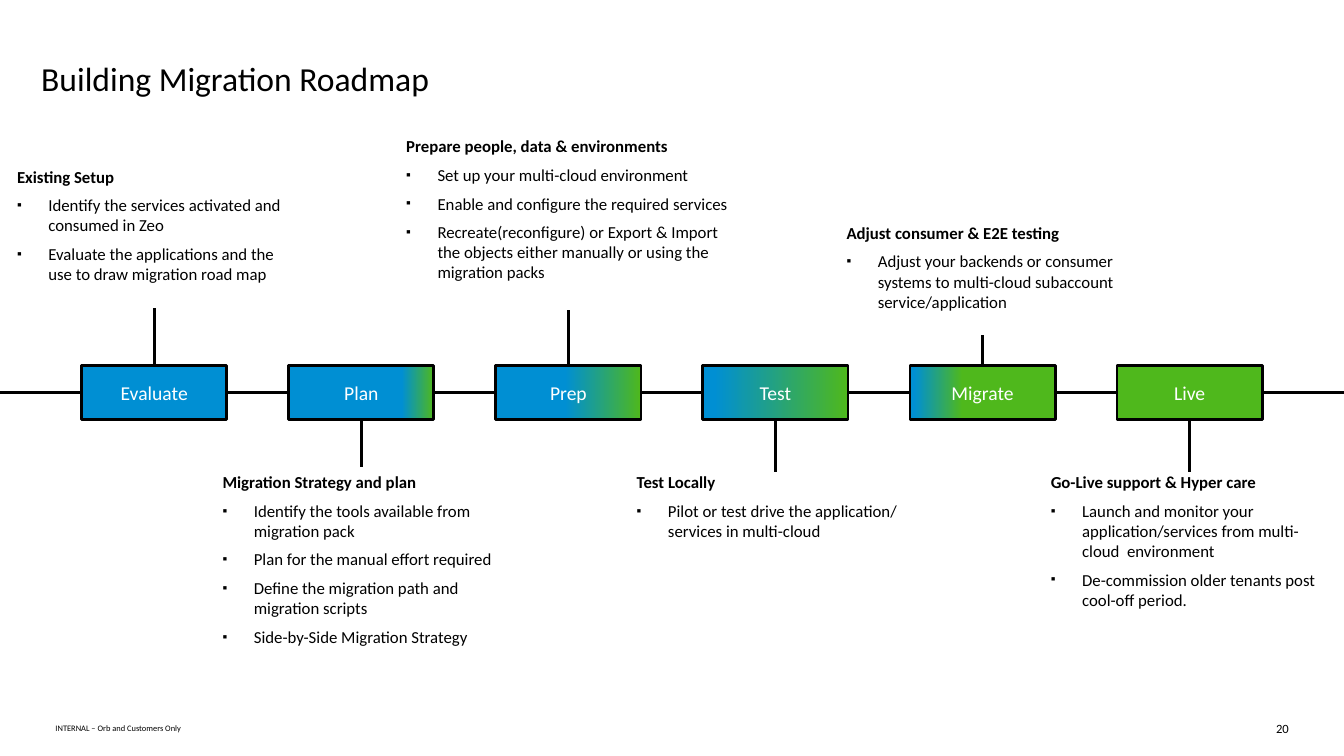
"""Build the migration roadmap slide: six stages on a rail with notes above and below."""
import pptx
import pptx.dml.color
import pptx.enum.shapes
import pptx.enum.text
import pptx.oxml.ns
import pptx.util
from lxml import etree

Cm = pptx.util.Cm
Pt = pptx.util.Pt
RGBColor = pptx.dml.color.RGBColor
ALIGN = pptx.enum.text.PP_ALIGN
ANCHOR = pptx.enum.text.MSO_ANCHOR

BLACK = RGBColor(0, 0, 0)
WHITE = RGBColor(255, 255, 255)
BLUE = RGBColor(0x00, 0x8F, 0xD3)
GREEN = RGBColor(0x4F, 0xB8, 0x1C)
FONT = "Calibri"

TITLE = "Building Migration Roadmap"
FOOTER = "INTERNAL – Orb and Customers Only"
PAGE_NUMBER = "20"

# name, blue stop, green stop, stem end, note frame, note heading, note bullets
STAGES = [
    ("Evaluate", BLUE, 7.77, (0.43, 4.19, 6.91, 3.58), "Existing Setup",
     ["Identify the services activated and consumed in Zeo",
      "Evaluate the applications and the use to draw migration road map"]),
    ("Plan", (0.78, 1), 11.76, (5.61, 11.89, 7.01, 5.13), "Migration Strategy and plan",
     ["Identify the tools available from migration pack",
      "Plan for the manual effort required",
      "Define the migration path and migration scripts",
      "Side-by-Side Migration Strategy"]),
    ("Prep", (0.48, 1), 7.8, (10.24, 3.43, 8.18, 4.37), "Prepare people, data & environments",
     ["Set up your multi-cloud environment",
      "Enable and configure the required services",
      "Recreate(reconfigure) or Export & Import the objects either manually "
      "or using the migration packs"]),
    ("Test", (0.08, 1), 11.89, (16.05, 11.89, 7.01, 2.31), "Test Locally",
     ["Pilot or test drive the application/ services in multi-cloud"]),
    ("Migrate", (0.03, 0.36), 8.43, (21.34, 5.61, 6.88, 2.82), "Adjust consumer & E2E testing",
     ["Adjust your backends or consumer systems to multi-cloud subaccount service/application"]),
    ("Live", GREEN, 11.89, (26.49, 11.89, 7.01, 3.58), "Go-Live support & Hyper care",
     ["Launch and monitor your application/services from multi-cloud  environment",
      "De-commission older tenants post cool-off period."]),
]

SLIDE_WIDTH, SLIDE_HEIGHT = 33.88, 19.05
STAGE_LEFT, STAGE_TOP, STAGE_PITCH = 2.06, 9.22, 5.22
STAGE_WIDTH, STAGE_HEIGHT = 3.66, 1.35
RAIL = 9.9
BULLET_INDENT = 0.79


def style(para, size, color=BLACK, bold=False):
    for span in para.runs:
        span.font.name = FONT
        span.font.size = Pt(size)
        span.font.bold = bold
        span.font.color.rgb = color


def add_text(page, frame, lines, size, wrap=True):
    box = page.shapes.add_textbox(*map(Cm, frame))
    text = box.text_frame
    text.margin_left = text.margin_top = text.margin_right = text.margin_bottom = 0
    text.word_wrap = wrap
    text.text = "\n".join(lines)
    for para in text.paragraphs:
        style(para, size)
    return text


def add_bullet(para):
    properties = para._p.get_or_add_pPr()
    properties.set("marL", str(Cm(BULLET_INDENT)))
    properties.set("indent", str(-Cm(BULLET_INDENT)))
    qualified = pptx.oxml.ns.qn
    color = etree.SubElement(properties, qualified("a:buClr"))
    etree.SubElement(color, qualified("a:srgbClr"), val=str(BLACK))
    etree.SubElement(properties, qualified("a:buSzPct"), val="80000")
    etree.SubElement(properties, qualified("a:buFont"), typeface="Arial")
    etree.SubElement(properties, qualified("a:buChar"), char="▪")


def add_note(page, frame, heading, bullets):
    text = add_text(page, frame, [heading, *bullets], 12)
    style(text.paragraphs[0], 12, bold=True)
    for para in text.paragraphs[1:]:
        add_bullet(para)
        para.space_before = Pt(6)


def add_line(page, start, end):
    line = page.shapes.add_connector(
        pptx.enum.shapes.MSO_CONNECTOR.STRAIGHT, *map(Cm, (*start, *end)))
    line.line.color.rgb = BLACK
    line.line.width = Pt(2)
    etree.SubElement(line._element.spPr, pptx.oxml.ns.qn("a:effectLst"))


def add_stage(page, left, name, paint):
    box = page.shapes.add_shape(
        pptx.enum.shapes.MSO_SHAPE.RECTANGLE,
        *map(Cm, (left, STAGE_TOP, STAGE_WIDTH, STAGE_HEIGHT)))
    box.shadow.inherit = False
    box.line.color.rgb = BLACK
    box.line.width = Pt(2)
    if isinstance(paint, RGBColor):
        box.fill.solid()
        box.fill.fore_color.rgb = paint
    else:
        box.fill.gradient()
        box.fill.gradient_angle = 0
        for stop, position, color in zip(box.fill.gradient_stops, paint, (BLUE, GREEN)):
            stop.position = position
            stop.color.rgb = color
    box.text_frame.text = name
    box.text_frame.vertical_anchor = ANCHOR.MIDDLE
    para = box.text_frame.paragraphs[0]
    para.alignment = ALIGN.CENTER
    style(para, 14, WHITE)


def main():
    deck = pptx.Presentation()
    deck.slide_width, deck.slide_height = Cm(SLIDE_WIDTH), Cm(SLIDE_HEIGHT)
    page = deck.slides.add_slide(deck.slide_layouts[6])

    add_text(page, (1.04, 1.45, 31.04, 1.02), [TITLE], 24)
    footer = add_text(page, (1.4, 18.16, 28.22, 0.38), [FOOTER], 6)
    footer.vertical_anchor = ANCHOR.MIDDLE
    number = add_text(page, (32.08, 18.16, 0.41, 0.38), [PAGE_NUMBER], 9, wrap=False)
    number.paragraphs[0].alignment = ALIGN.RIGHT

    rail_start = 0
    for index, (name, paint, stem_end, frame, heading, bullets) in enumerate(STAGES):
        left = STAGE_LEFT + index * STAGE_PITCH
        center = left + STAGE_WIDTH / 2
        stem_start = STAGE_TOP if stem_end < STAGE_TOP else STAGE_TOP + STAGE_HEIGHT
        add_line(page, (rail_start, RAIL), (left, RAIL))
        add_line(page, (center, stem_start), (center, stem_end))
        add_stage(page, left, name, paint)
        add_note(page, frame, heading, bullets)
        rail_start = left + STAGE_WIDTH
    add_line(page, (rail_start, RAIL), (SLIDE_WIDTH, RAIL))

    deck.save("out.pptx")


if __name__ == "__main__":
    main()
